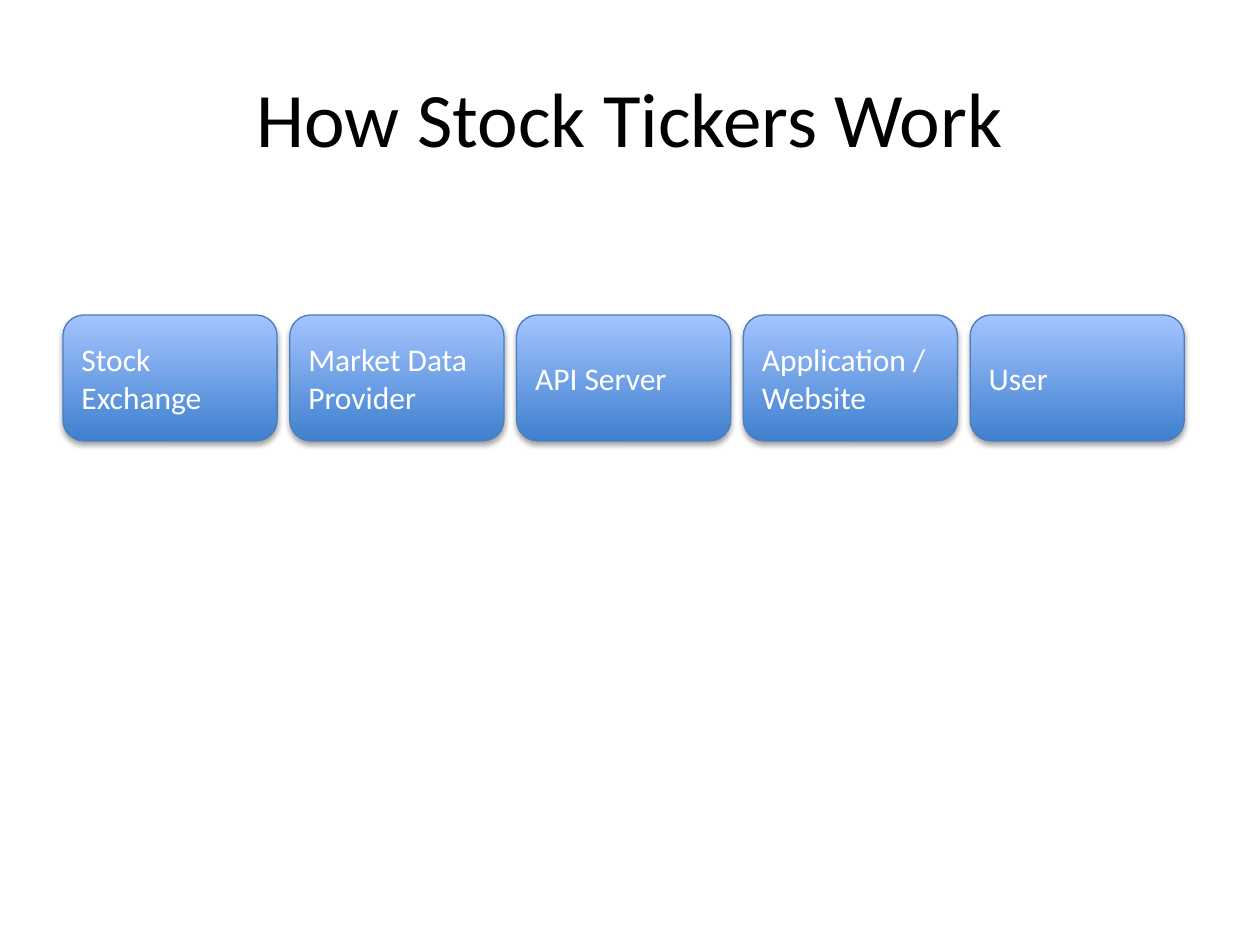
from lxml import etree
from pptx import Presentation
from pptx.dml.color import RGBColor
from pptx.enum.shapes import MSO_SHAPE
from pptx.enum.text import MSO_ANCHOR, PP_ALIGN
from pptx.oxml.ns import qn
from pptx.util import Inches, Pt

ROUNDED = MSO_SHAPE.ROUNDED_RECTANGLE
MIDDLE = MSO_ANCHOR.MIDDLE
LEFT, CENTER = PP_ALIGN.LEFT, PP_ALIGN.CENTER

# Content
TITLE = "How Stock Tickers Work"
STAGES = [
    "Stock Exchange",
    "Market Data Provider",
    "API Server",
    "Application / Website",
    "User",
]

THEME = {
    "font": "Calibri",
    "title_size": 44,
    "stage_size": 18,
    "title": "000000",
    "stage_text": "FFFFFF",
    "gradient": ("3F80CE", "A4C4FF"),  # bottom to top
    "outline": "4B7EBC",
    "shadow": "000000",
}

# Grid, in inches
WIDTH, HEIGHT = 10, 7.5
MARGIN = WIDTH / 20
TITLE_TOP, TITLE_HEIGHT = HEIGHT * 0.04, HEIGHT / 6
STAGE_TOP, STAGE_WIDTH, STAGE_HEIGHT = HEIGHT / 3, 1.7, 1
PITCH = STAGE_WIDTH + 0.1


def write(shape, text, size, color, align):
    frame = shape.text_frame
    frame.word_wrap = True
    frame.vertical_anchor = MIDDLE
    paragraph = frame.paragraphs[0]
    paragraph.text = text
    paragraph.alignment = align
    paragraph.font.name = THEME["font"]
    paragraph.font.size = Pt(size)
    paragraph.font.color.rgb = RGBColor.from_string(color)


def add_shadow(shape):
    shape.shadow.inherit = False
    effects = shape._element.spPr.find(qn("a:effectLst"))
    shadow = etree.SubElement(effects, qn("a:outerShdw"), blurRad=str(Pt(3.1)),
                              dist=str(Pt(1.8)), dir="5400000", rotWithShape="0")
    color = etree.SubElement(shadow, qn("a:srgbClr"), val=THEME["shadow"])
    etree.SubElement(color, qn("a:alpha"), val="35000")


def add_stage(slide, column, text):
    box = slide.shapes.add_shape(
        ROUNDED, Inches(MARGIN + column * PITCH), Inches(STAGE_TOP),
        Inches(STAGE_WIDTH), Inches(STAGE_HEIGHT))
    box.fill.gradient()
    box.fill.gradient_angle = 90
    for stop, position, color in zip(box.fill.gradient_stops, (0, 1), THEME["gradient"]):
        stop.position = position
        stop.color.rgb = RGBColor.from_string(color)
    box.line.color.rgb = RGBColor.from_string(THEME["outline"])
    box.line.width = Pt(0.75)
    add_shadow(box)
    write(box, text, THEME["stage_size"], THEME["stage_text"], LEFT)


def main():
    deck = Presentation()
    deck.slide_width, deck.slide_height = Inches(WIDTH), Inches(HEIGHT)
    slide = deck.slides.add_slide(deck.slide_layouts[6])

    # Title
    title = slide.shapes.add_textbox(
        Inches(MARGIN), Inches(TITLE_TOP),
        Inches(WIDTH - 2 * MARGIN), Inches(TITLE_HEIGHT))
    write(title, TITLE, THEME["title_size"], THEME["title"], CENTER)

    # Row of stages
    for column, text in enumerate(STAGES):
        add_stage(slide, column, text)

    deck.save("out.pptx")


if __name__ == "__main__":
    main()
